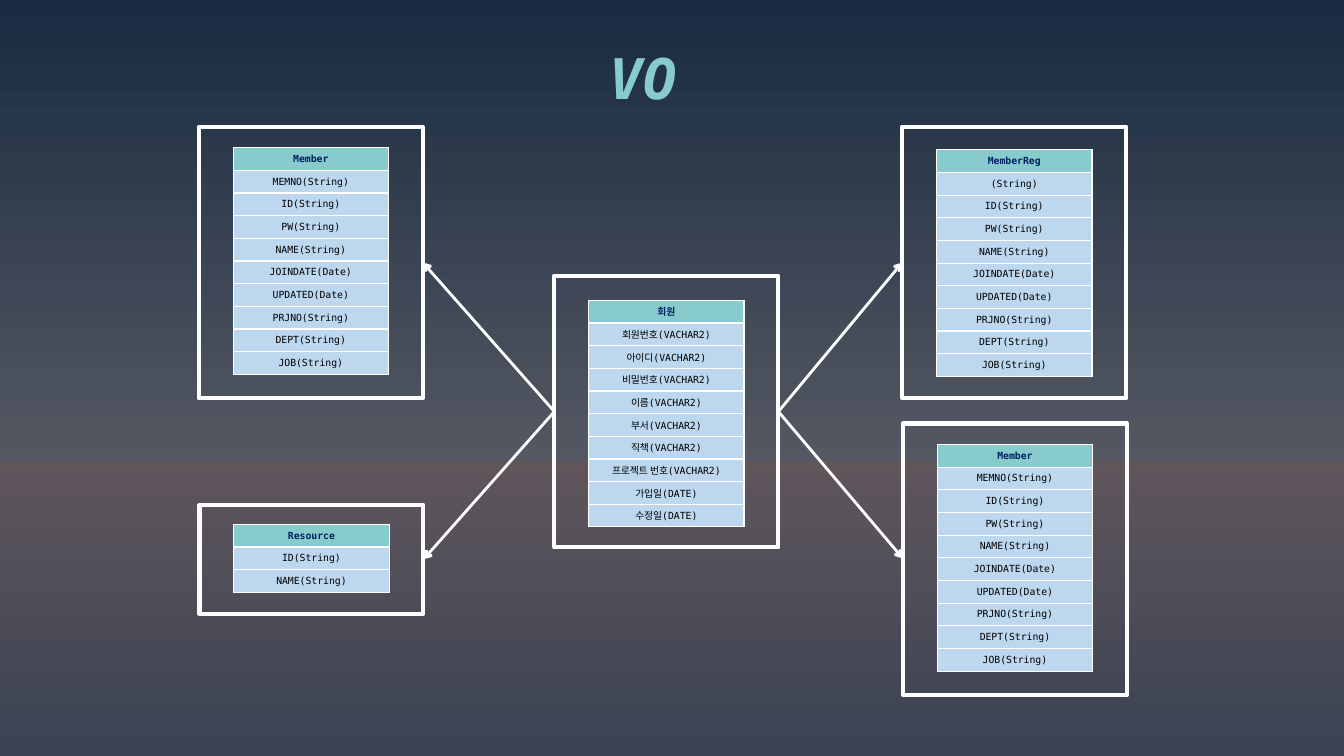
import dataclasses

import pptx
import pptx.dml.color
import pptx.enum.shapes
import pptx.enum.text
import pptx.oxml.ns
import pptx.util
import pptx.slide
import pptx.text.text
from lxml import etree

Pt = pptx.util.Pt
RGBColor = pptx.dml.color.RGBColor
qn = pptx.oxml.ns.qn
Anchor = pptx.enum.text.MSO_ANCHOR

# Colours, font and sizes
WHITE = RGBColor(0xFF, 0xFF, 0xFF)
BLACK = RGBColor(0x00, 0x00, 0x00)
NAVY = RGBColor(0x00, 0x20, 0x60)
TEAL = RGBColor(0x87, 0xCB, 0xCD)
PALE = RGBColor(0xBD, 0xD7, 0xEE)
SKY = [
    (0, RGBColor(0x19, 0x2B, 0x41)),
    (61, RGBColor(0x54, 0x58, 0x62)),
    (61, RGBColor(0x5F, 0x55, 0x5B)),
    (100, RGBColor(0x3B, 0x43, 0x54)),
]
FONT = "DejaVu Sans Mono"
BOX_W, INSET, COL_W, ROW_H = 160, 24.5, 111, 16.2


@dataclasses.dataclass
class Entity:
    name: str
    fields: list[str]
    left: float
    top: float
    high: float
    gap: float  # from the top of the frame to its table


@dataclasses.dataclass
class Link:
    start: tuple[float, float]
    end: tuple[float, float]


COMMON = ["ID(String)", "PW(String)", "NAME(String)", "JOINDATE(Date)",
          "UPDATED(Date)", "PRJNO(String)", "DEPT(String)", "JOB(String)"]
MEMBER = ["MEMNO(String)", *COMMON]
COLUMNS = ["회원번호(VACHAR2)", "아이디(VACHAR2)", "비밀번호(VACHAR2)",
           "이름(VACHAR2)", "부서(VACHAR2)", "직책(VACHAR2)",
           "프로젝트 번호(VACHAR2)", "가입일(DATE)", "수정일(DATE)"]

ENTITIES = [
    Entity("회원", COLUMNS, 396, 197, 194, 17.5),
    Entity("MemberReg", ["(String)", *COMMON], 644.5, 90.5, 194, 16.5),
    Entity("Member", MEMBER, 142, 90.5, 194, 15),
    Entity("Resource", ["ID(String)", "NAME(String)"], 142.5, 360.5, 78, 14),
    Entity("Member", MEMBER, 645, 302.5, 194, 15),
]
WEST, EAST = (396, 294), (556, 294)
LINKS = [
    Link(WEST, (302, 187.5)),
    Link(WEST, (302.5, 399.5)),
    Link(EAST, (644.5, 187.5)),
    Link(EAST, (645, 399)),
]


def put(frame: pptx.text.text.TextFrame, text: str, *, size: float,
        color: RGBColor, bold: bool = False, slant: bool = False,
        space: float = 1.0) -> None:
    """Write one centred line of text."""
    para = frame.paragraphs[0]
    para.alignment = pptx.enum.text.PP_ALIGN.CENTER
    para.line_spacing = space
    run = para.add_run()
    run.text = text
    font = run.font
    font.name, font.size = FONT, Pt(size)
    font.bold, font.italic = bold, slant
    font.color.rgb = color


def add_fill(owner: etree._Element, color: RGBColor) -> None:
    etree.SubElement(owner, qn("a:srgbClr"), val=str(color))


def paint(slide: pptx.slide.Slide) -> None:
    """Set the vertical gradient of the background."""
    fill = slide.background.fill
    fill.gradient()
    fill.gradient_angle = 270
    stops = next(slide.element.iter(qn("a:gsLst")))
    for stop in list(stops):
        stops.remove(stop)
    for place, color in SKY:
        add_fill(etree.SubElement(stops, qn("a:gs"), pos=str(place * 1000)), color)


def edge(props: etree._Element) -> None:
    """Give a cell four white borders, placed before its fill."""
    for index, side in enumerate(("lnL", "lnR", "lnT", "lnB")):
        line = etree.Element(qn(f"a:{side}"), w=str(Pt(1)))
        add_fill(etree.SubElement(line, qn("a:solidFill")), WHITE)
        props.insert(index, line)


def draw_box(slide: pptx.slide.Slide, item: Entity) -> None:
    box = slide.shapes.add_shape(
        pptx.enum.shapes.MSO_SHAPE.RECTANGLE,
        Pt(item.left), Pt(item.top), Pt(BOX_W), Pt(item.high))
    box.shadow.inherit = False
    box.fill.background()
    box.line.color.rgb = WHITE
    box.line.width = Pt(3)


def draw_grid(slide: pptx.slide.Slide, item: Entity) -> None:
    rows = [item.name, *item.fields]
    frame = slide.shapes.add_table(
        len(rows), 1, Pt(item.left + INSET), Pt(item.top + item.gap),
        Pt(COL_W), Pt(ROW_H * len(rows)))
    table = frame.table
    table.horz_banding = False
    for index, text in enumerate(rows):
        head = index == 0
        table.rows[index].height = Pt(ROW_H)
        cell = table.cell(index, 0)
        cell.margin_left = cell.margin_right = Pt(0)
        cell.margin_top = cell.margin_bottom = Pt(0)
        cell.vertical_anchor = Anchor.MIDDLE
        cell.fill.solid()
        cell.fill.fore_color.rgb = TEAL if head else PALE
        put(cell.text_frame, text, size=7, bold=head,
            color=NAVY if head else BLACK)
    for props in frame.element.iter(qn("a:tcPr")):
        edge(props)


def draw_link(slide: pptx.slide.Slide, link: Link) -> None:
    line = slide.shapes.add_connector(
        pptx.enum.shapes.MSO_CONNECTOR.STRAIGHT,
        *map(Pt, link.start), *map(Pt, link.end))
    line.line.color.rgb = WHITE
    line.line.width = Pt(2)
    props = line.element.spPr
    etree.SubElement(props.find(qn("a:ln")), qn("a:tailEnd"), type="arrow")
    etree.SubElement(props, qn("a:effectLst"))


def main() -> None:
    deck = pptx.Presentation()
    deck.slide_width, deck.slide_height = Pt(960), Pt(540)
    slide = deck.slides.add_slide(deck.slide_layouts[5])
    paint(slide)

    # Title
    title = slide.shapes.title
    title.left, title.top = Pt(242.5), Pt(3.5)
    title.width, title.height = Pt(434), Pt(80)
    title.text_frame.vertical_anchor = Anchor.TOP
    put(title.text_frame, "VO", size=40, color=TEAL, bold=True, slant=True,
        space=1.5)

    # Framed tables, then the arrows between them
    for item in ENTITIES:
        draw_box(slide, item)
        draw_grid(slide, item)
    for link in LINKS:
        draw_link(slide, link)

    deck.save("out.pptx")


if __name__ == "__main__":
    main()
